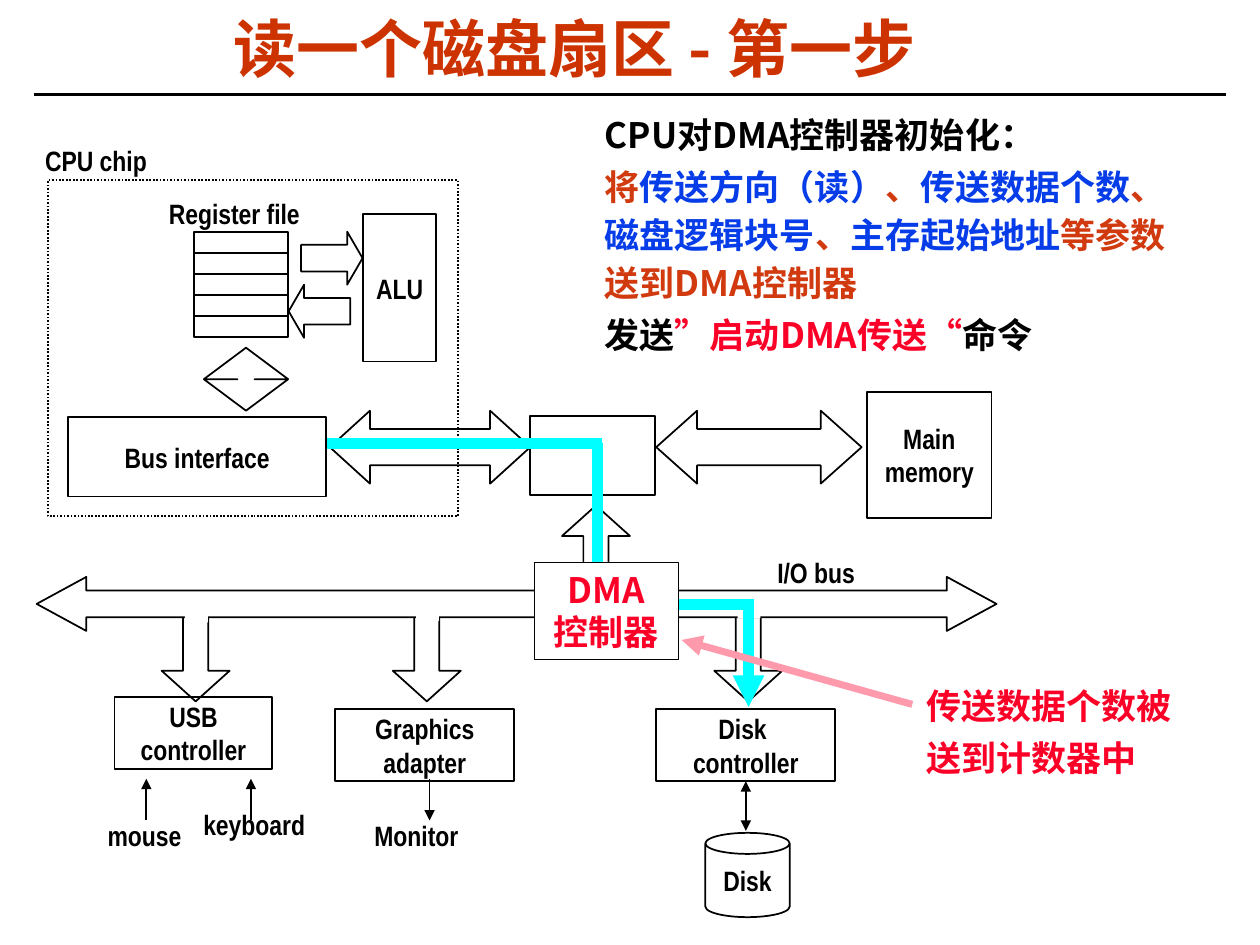
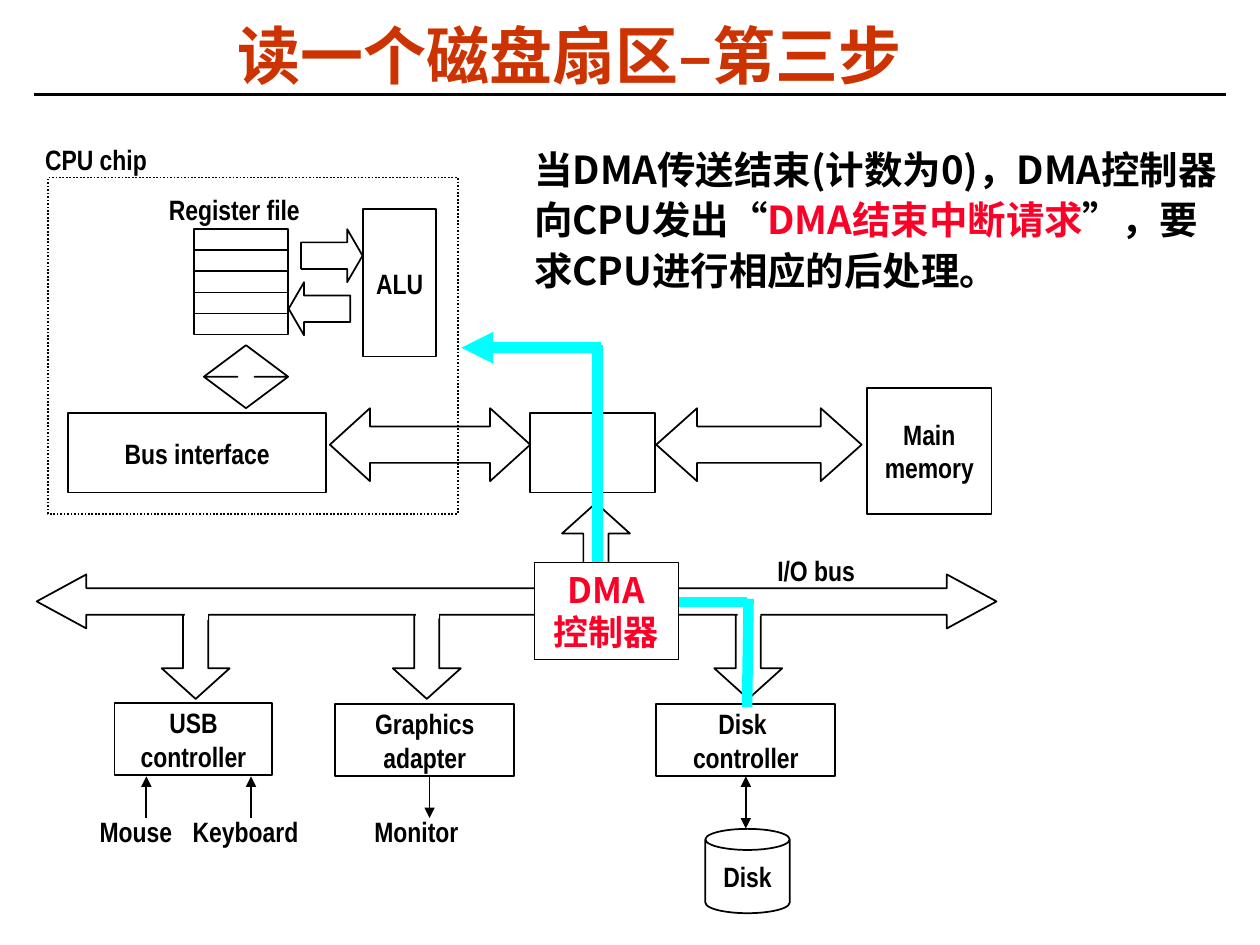
from dataclasses import dataclass, replace
from typing import Optional

from lxml import etree
from pptx import Presentation
from pptx import util as u
from pptx.dml.color import RGBColor
from pptx.enum import dml, shapes, text
from pptx.oxml.ns import qn

INK = {"black": "000000", "white": "FFFFFF", "title": "CC3300", "rust": "D1390F",
       "blue": "063DE8", "red": "FC0128", "cyan": "00FFFF", "pink": "FE9AAB"}
LATIN, HAN = "Arial Narrow", "Noto Sans CJK SC"
KIND = shapes.MSO_SHAPE
MID, LEFT = text.PP_ALIGN.CENTER, text.PP_ALIGN.LEFT
Run = tuple[str, str]  # words, colour name


@dataclass(frozen=True)
class Part:
    """A shape in cm; shift is how far it moves down in the third step."""
    kind: shapes.MSO_SHAPE
    x: float
    y: float
    w: float
    h: float
    says: str = ""
    adj: tuple[float, ...] = ()
    shift: float = -0.05
    fill: Optional[str] = None
    edge: float = 1
    dotted: bool = False


@dataclass(frozen=True)
class Label:
    x: float
    y: float
    w: float
    says: str
    shift: float = -0.08
    align: text.PP_ALIGN = MID


@dataclass(frozen=True)
class Line:
    x1: float
    y1: float
    x2: float
    y2: float
    color: str = "black"
    width: float = 1
    head: bool = False
    tail: bool = False


@dataclass(frozen=True)
class Style:
    size: float
    font: str = HAN
    align: text.PP_ALIGN = LEFT
    lead: Optional[float] = None
    gap: float = 0


SMALL = Style(16, LATIN, MID)
HEAD = Style(36, align=MID, lead=0.87)


def tint(name: str) -> RGBColor:
    return RGBColor.from_string(INK[name])


def write(shape, paras: list[list[Run]], style: Style) -> None:
    """Fill a shape with paragraphs of coloured runs."""
    frame = shape.text_frame
    for i, runs in enumerate(paras):
        para = frame.add_paragraph() if i else frame.paragraphs[0]
        para.alignment = style.align
        if style.lead:
            para.line_spacing = style.lead
        if i and style.gap:
            para.space_before = u.Pt(style.gap)
        font = para.font
        font.size, font.bold, font.name = u.Pt(style.size), True, style.font
        same = len({color for _, color in runs}) == 1
        if same:
            font.color.rgb = tint(runs[0][1])
        base = para._p.pPr.find(qn("a:defRPr"))
        etree.SubElement(base, qn("a:ea"), typeface=style.font)
        for words, color in runs:
            run = para.add_run()
            run.text = words
            if not same:
                run.font.color.rgb = tint(color)


def plain(says: str, color: str = "black") -> list[list[Run]]:
    return [[(row, color)] for row in says.split("\n")]


def add_text(slide, x: float, y: float, w: float, h: float,
             paras: list[list[Run]], style: Style, wrap: bool = True,
             anchor=text.MSO_ANCHOR.TOP) -> None:
    box = slide.shapes.add_textbox(u.Cm(x), u.Cm(y), u.Cm(w), u.Cm(h))
    frame = box.text_frame
    frame.word_wrap, frame.vertical_anchor = wrap, anchor
    frame.auto_size = text.MSO_AUTO_SIZE.SHAPE_TO_FIT_TEXT
    write(box, paras, style)


def add_part(slide, part: Part, shift: float):
    shape = slide.shapes.add_shape(part.kind, u.Cm(part.x), u.Cm(part.y + shift),
                                   u.Cm(part.w), u.Cm(part.h))
    shape.shadow.inherit = False
    for i, value in enumerate(part.adj):
        shape.adjustments[i] = value
    if part.fill:
        shape.fill.solid()
        shape.fill.fore_color.rgb = tint(part.fill)
    else:
        shape.fill.background()
    if part.edge:
        shape.line.color.rgb = tint("black")
        shape.line.width = u.Pt(part.edge)
    else:
        shape.line.fill.background()
    if part.dotted:
        shape.line.dash_style = dml.MSO_LINE.ROUND_DOT
    if part.says:
        shape.text_frame.word_wrap = False
        shape.text_frame.vertical_anchor = text.MSO_ANCHOR.MIDDLE
        write(shape, plain(part.says), SMALL)
    return shape


def add_label(slide, label: Label, shift: float) -> None:
    add_text(slide, label.x, label.y + shift, label.w, 0.94, plain(label.says),
             replace(SMALL, align=label.align), False, text.MSO_ANCHOR.MIDDLE)


def add_line(slide, line: Line):
    link = slide.shapes.add_connector(
        shapes.MSO_CONNECTOR.STRAIGHT, u.Cm(line.x1), u.Cm(line.y1),
        u.Cm(line.x2), u.Cm(line.y2))
    link.line.color.rgb = tint(line.color)
    link.line.width = u.Pt(line.width)
    edge = link.line._get_or_add_ln()
    for end, shown in (("a:headEnd", line.head), ("a:tailEnd", line.tail)):
        if shown:
            etree.SubElement(edge, qn(end), type="triangle")
    etree.SubElement(link._element.spPr, qn("a:effectLst"))
    return link


BOX, DOWN = KIND.RECTANGLE, KIND.DOWN_ARROW
WIDE, STEM, BENT = KIND.LEFT_RIGHT_ARROW, (0.37, 0.45), (0.5, 0.29)
DISK = Part(BOX, 13.23, 14.3, 3.61, 1.45, "Disk \ncontroller", shift=-0.1)
PARTS = [
    Part(BOX, 17.48, 7.9, 2.51, 2.54, "Main\nmemory", shift=-0.08),
    Part(WIDE, 13.23, 8.28, 4.14, 1.47, adj=(0.5, 0.56)),
    Part(BOX, 10.69, 8.38, 2.51, 1.6),
    Part(WIDE, 6.65, 8.28, 4.04, 1.47, adj=(0.5, 0.55)),
    *[Part(BOX, 3.91, 4.67 + 0.425 * i, 1.9, 0.425) for i in range(5)],
    Part(KIND.RIGHT_ARROW, 6.07, 4.67, 1.24, 1.07, adj=BENT),
    Part(KIND.LEFT_ARROW, 5.82, 5.74, 1.24, 1.07, adj=BENT),
    Part(BOX, 7.32, 4.32, 1.47, 2.97, "ALU", shift=-0.1),
    Part(KIND.UP_DOWN_ARROW, 4.11, 7.01, 1.7, 1.27, adj=(0.5, 0.2)),
    Part(BOX, 0.97, 3.63, 8.26, 6.78, dotted=True),
    Part(KIND.UP_ARROW, 11.33, 10.19, 1.37, 1.9, adj=STEM),
    *[Part(DOWN, x, 12.24, 1.37, 1.9, adj=STEM) for x in (14.4, 7.92, 3.26)],
    replace(DISK, x=6.76, says="Graphics\nadapter"),
    replace(DISK, x=2.31, y=14.05, w=3.18, says="USB\ncontroller", shift=0.13),
    Part(KIND.CAN, 14.22, 16.79, 1.7, 1.7, "Disk", (0.25,), -0.08),
    Part(WIDE, 0.74, 11.63, 19.35, 1.09, adj=(0.49, 0.92), fill="white"),
    *[Part(BOX, x, y, 0.46, 0.43, fill="white", edge=0)
      for x, y in ((3.73, 12.12), (8.39, 12.09), (14.87, 12.04))],
]
BUS = Part(BOX, 1.37, 8.41, 5.21, 1.6, "Bus interface", shift=-0.08)
DMA = Part(BOX, 10.77, 11.33, 2.9, 1.96, fill="white", edge=0.5)
LABELS = [
    Label(3.15, 3.84, 3.15, "Register file"),
    Label(0.66, 2.77, 2.57, "CPU chip", -0.03, LEFT),
    Label(7.29, 16.36, 2.21, "Monitor"),
    Label(15.42, 11.07, 2.08, "I/O bus", -0.05, LEFT),
]


def add_base(slide, title: str, x: float, y: float, moved: bool,
             keys: list[Label], route: list[Line]) -> None:
    """Draw the title, the machine diagram and the cyan signal route."""
    def drop(item) -> float:
        return item.shift if moved else 0

    add_line(slide, Line(0.69, 1.9, 24.71, 1.9, width=1.5))
    add_text(slide, x, y, 21.08, 1.57, plain(title, "title"), HEAD,
             anchor=text.MSO_ANCHOR.MIDDLE)
    for part in PARTS:
        add_part(slide, part, drop(part))
    for label in LABELS:
        add_label(slide, label, drop(label))
    for label in keys:
        add_label(slide, label, 0)
    top = 15.65 if moved else 15.7
    for axis, up in ((2.95, True), (5.06, True), (8.66, False)):
        add_line(slide, Line(axis, top, axis, top + 0.84, head=up, tail=not up))
    disk = add_part(slide, DISK, drop(DISK))
    axis = DISK.x + DISK.w / 2
    link = add_line(slide, Line(axis, top, axis, top + 1.05, head=True, tail=True))
    link.begin_connect(disk, 2)
    for line in route:
        add_line(slide, replace(line, color="cyan", width=6))
    add_part(slide, BUS, drop(BUS))


def add_chip(slide) -> None:
    """Draw the DMA box, which covers the bus and the route."""
    chip = add_part(slide, DMA, 0)
    chip.text_frame.vertical_anchor = text.MSO_ANCHOR.TOP
    chip.text_frame.word_wrap = True
    write(chip, plain("DMA\n控制器", "red"), Style(20, align=MID))


def first(slide) -> None:
    add_base(slide, "读一个磁盘扇区 - 第一步", 1.04, 0.28, False,
             [Label(1.91, 16.36, 2.01, "mouse"), Label(3.84, 16.15, 2.57, "keyboard")],
             [Line(6.55, 8.94, 12.14, 8.94), Line(12.04, 8.94, 12.04, 12.12),
              Line(11.94, 12.19, 15.06, 12.19),
              Line(15.09, 12.07, 15.09, 14.25, tail=True)])
    add_text(slide, 11.94, 2.03, 12.47, 5.31, [
        [("CPU对DMA控制器初始化：", "black")],
        [("将", "rust"), ("传送方向（读）", "blue"), ("、", "rust"),
         ("传送数据个数", "blue"), ("、 ", "rust"), ("磁盘逻辑块号", "blue"),
         ("、", "rust"), ("主存起始地址", "blue"), ("等参数送到DMA控制器", "rust")],
        [("发送", "black"), ("”启动DMA传送“", "red"), ("命令", "black")],
    ], Style(20, lead=1.15, gap=2))
    add_chip(slide)
    add_text(slide, 18.42, 13.46, 5.49, 2.36,
             plain("传送数据个数被送到计数器中", "red"), Style(20, lead=1.25))
    add_line(slide, Line(18.39, 14.2, 13.74, 12.9, "pink", 4, tail=True))


def third(slide) -> None:
    add_base(slide, "读一个磁盘扇区–第三步", 0.94, 0.43, True,
             [Label(1.75, 16.28, 1.98, "Mouse"), Label(3.63, 16.28, 2.64, "Keyboard")],
             [Line(12.12, 7.01, 9.3, 7.01, tail=True),
              Line(12.04, 6.96, 12.04, 12.07), Line(11.94, 12.14, 15.06, 12.14),
              Line(15.09, 12.07, 15.06, 14.25)])
    add_text(slide, 10.52, 2.72, 14.35, 3.33, [
        [("当DMA传送结束(计数为0)，DMA控制器向CPU发出“", "black"),
         ("DMA结束中断请求", "red"), ("”，要求CPU进行相应的后处理。", "black")],
    ], Style(22, lead=1.1))
    add_chip(slide)


def main() -> None:
    deck = Presentation()
    deck.slide_width, deck.slide_height = u.Cm(25.4), u.Cm(19.05)
    for build in (first, third):
        build(deck.slides.add_slide(deck.slide_layouts[6]))
    deck.save("out.pptx")


if __name__ == "__main__":
    main()
